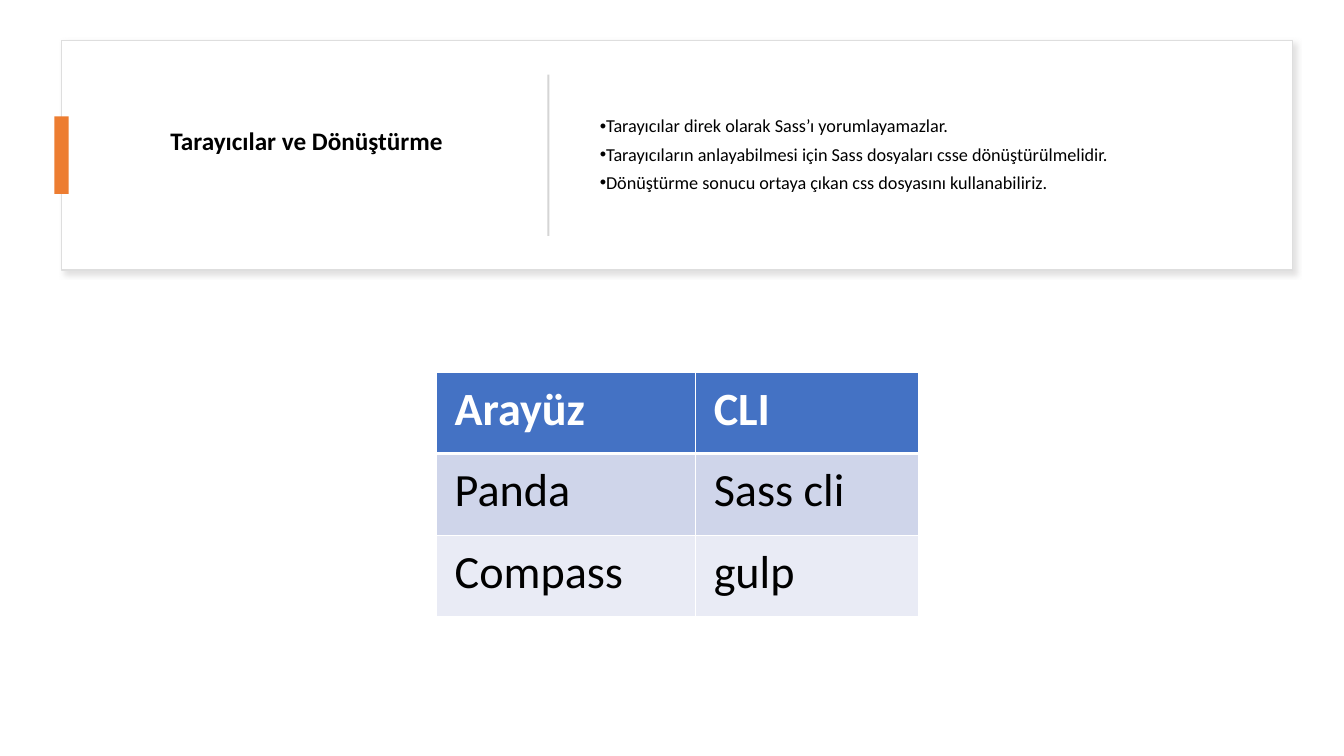
"""Build the slide on browsers and Sass conversion."""
from dataclasses import dataclass

from lxml.etree import SubElement
from pptx import Presentation
from pptx.dml.color import RGBColor
from pptx.enum.shapes import MSO_SHAPE as Preset
from pptx.enum.text import MSO_ANCHOR as Anchor, MSO_AUTO_SIZE as AutoSize, PP_ALIGN as Align
from pptx.oxml.ns import qn
from pptx.util import Inches, Pt

TITLE = "Tarayıcılar ve Dönüştürme"
POINTS = [
    "Tarayıcılar direk olarak Sass’ı yorumlayamazlar.",
    "Tarayıcıların anlayabilmesi için Sass dosyaları csse dönüştürülmelidir.",
    "Dönüştürme sonucu ortaya çıkan css dosyasını kullanabiliriz.",
]
TOOLS = [("Arayüz", "CLI"), ("Panda", "Sass cli"), ("Compass", "gulp")]

WIDTH, HEIGHT = Inches(13.33), Inches(7.5)
BAND_CENTRE = 20.53
CARD_LEFT = 4.58
MARKER_WIDTH = 1.05
TITLE_BOX = (11.93, 15.87, 21.91, 5.33)
TABLE_LEFT, TABLE_TOP = 32.48, 49.2
COLUMN_WIDTHS = (19.28, 16.58)
ROW_HEIGHT = 10.8


@dataclass(frozen=True)
class Theme:
    font: str = "Calibri"
    text: str = "000000"
    white: str = "FFFFFF"
    card_line: str = "DEDEDE"
    shadow: str = "C5C3C3"
    marker: str = "ED7D31"
    divider: str = "D5D5D5"
    rows: tuple = ("4472C4", "CFD5EA", "E9EBF5")
    title_size: int = 18
    body_size: int = 13
    table_size: int = 33


THEME = Theme()


def place(left, top, width, height):
    """Turn percentages of the slide into lengths."""
    shares = (left, WIDTH), (top, HEIGHT), (width, WIDTH), (height, HEIGHT)
    return [round(share * full / 100) for share, full in shares]


def in_band(left, width, height):
    """Centre a box vertically on the upper band."""
    return place(left, BAND_CENTRE - height / 2, width, height)


def style(paragraph, size, color=THEME.text, bold=False):
    """Set the font of a paragraph."""
    font = paragraph.font
    font.name, font.size, font.bold = THEME.font, Pt(size), bold
    font.color.rgb = RGBColor.from_string(color)


def add_block(slide, box, fill):
    """Add a plain rectangle."""
    block = slide.shapes.add_shape(Preset.RECTANGLE, *box)
    block.shadow.inherit = False
    block.fill.solid()
    block.fill.fore_color.rgb = RGBColor.from_string(fill)
    block.line.fill.background()
    return block


def add_card(slide):
    """Add the outlined card with its soft shadow."""
    card = add_block(slide, in_band(CARD_LEFT, 91.6, 30.4), THEME.white)
    card.line.color.rgb = RGBColor.from_string(THEME.card_line)
    card.line.width = Pt(1)
    effects = card.element.spPr.find(qn("a:effectLst"))
    shadow = SubElement(effects, qn("a:outerShdw"), blurRad=str(Pt(4)),
                        dist=str(Pt(3)), dir=str(45 * 60000), algn="tl", rotWithShape="0")
    color = SubElement(shadow, qn("a:srgbClr"), val=THEME.shadow)
    SubElement(color, qn("a:alpha"), val="50000")


def add_points(slide):
    """Add the bulleted text."""
    frame = slide.shapes.add_textbox(*in_band(43.89, 49.21, 24)).text_frame
    frame.word_wrap = True
    frame.vertical_anchor = Anchor.MIDDLE
    frame.text = "\n".join(POINTS)
    for paragraph in frame.paragraphs:
        style(paragraph, THEME.body_size)
        paragraph.line_spacing = 0.9
        paragraph.space_after = Pt(6)
        properties = paragraph._p.get_or_add_pPr()
        properties.set("marL", "0")
        properties.set("indent", str(-Inches(0.25)))
        SubElement(properties, qn("a:buFont"), typeface="Arial")
        SubElement(properties, qn("a:buChar"), char="•")


def format_title(title):
    """Fill the title placeholder and bring it to the front."""
    title.left, title.top, title.width, title.height = place(*TITLE_BOX)
    frame = title.text_frame
    frame.text = TITLE
    frame.word_wrap = False
    frame.auto_size = AutoSize.SHAPE_TO_FIT_TEXT
    frame.vertical_anchor = Anchor.TOP
    paragraph = frame.paragraphs[0]
    paragraph.alignment = Align.LEFT
    paragraph.space_after = Pt(6)
    style(paragraph, THEME.title_size, bold=True)
    title.element.getparent().append(title.element)


def add_border(cell, side, width):
    """Draw one white cell border."""
    line = SubElement(cell._tc.get_or_add_tcPr(), qn(f"a:ln{side}"), w=str(Pt(width)))
    SubElement(SubElement(line, qn("a:solidFill")), qn("a:srgbClr"), val=THEME.white)


def add_tools(slide):
    """Add the table of tools."""
    box = place(TABLE_LEFT, TABLE_TOP, sum(COLUMN_WIDTHS), ROW_HEIGHT * len(TOOLS))
    table = slide.shapes.add_table(len(TOOLS), len(COLUMN_WIDTHS), *box).table
    for column, share in zip(table.columns, COLUMN_WIDTHS):
        column.width = round(share * WIDTH / 100)
    for row, (names, fill) in enumerate(zip(TOOLS, THEME.rows)):
        header = row == 0
        for column, name in enumerate(names):
            cell = table.cell(row, column)
            cell.text = name
            cell.margin_left = cell.margin_right = Inches(0.18)
            cell.margin_top = cell.margin_bottom = Inches(0.09)
            style(cell.text_frame.paragraphs[0], THEME.table_size,
                  THEME.white if header else THEME.text, header)
            for side in "LRTB":
                thick = (header and side == "B") or (row == 1 and side == "T")
                add_border(cell, side, 3 if thick else 1)
            cell.fill.solid()
            cell.fill.fore_color.rgb = RGBColor.from_string(fill)


def main():
    """Assemble and save the slide."""
    presentation = Presentation()
    presentation.slide_width, presentation.slide_height = WIDTH, HEIGHT
    slide = presentation.slides.add_slide(presentation.slide_layouts[5])
    add_card(slide)
    add_block(slide, in_band(CARD_LEFT - MARKER_WIDTH / 2, MARKER_WIDTH, 10.27), THEME.marker)
    add_block(slide, in_band(40.73, 0.15, 21.33), THEME.divider)
    add_points(slide)
    format_title(slide.shapes.title)
    add_tools(slide)
    presentation.save("out.pptx")


if __name__ == "__main__":
    main()
